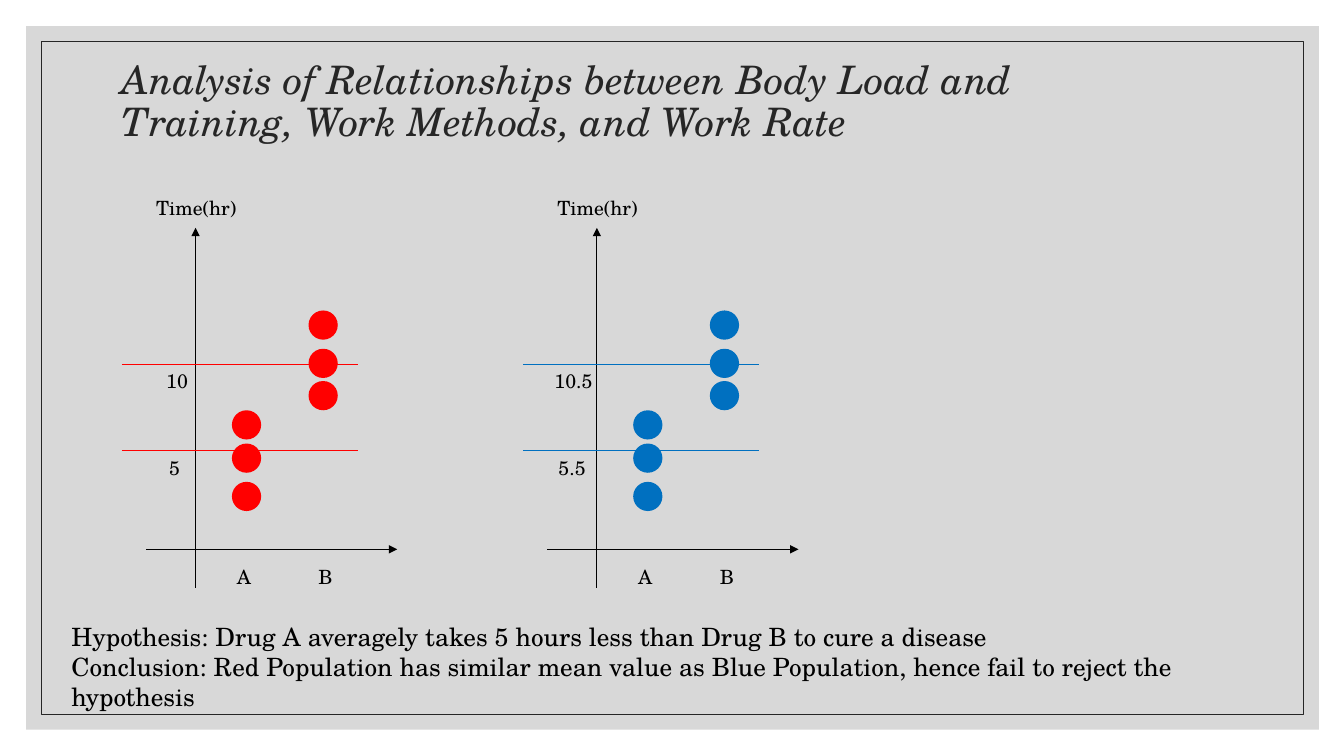
from dataclasses import dataclass

from lxml import etree
from pptx import Presentation
from pptx.dml.color import RGBColor
from pptx.enum.shapes import MSO_CONNECTOR, MSO_SHAPE
from pptx.enum.text import MSO_ANCHOR, MSO_AUTO_SIZE
from pptx.oxml.ns import qn
from pptx.util import Inches, Pt

STRAIGHT = MSO_CONNECTOR.STRAIGHT
RECT, OVAL = MSO_SHAPE.RECTANGLE, MSO_SHAPE.OVAL
MIDDLE, TOP = MSO_ANCHOR.MIDDLE, MSO_ANCHOR.TOP
GROW, FIXED = MSO_AUTO_SIZE.SHAPE_TO_FIT_TEXT, MSO_AUTO_SIZE.NONE


@dataclass(frozen=True)
class Theme:
    font: str = "TeX Gyre Schola"
    panel: str = "BFBFBF"
    panel_alpha: int = 60
    dark: str = "262626"
    black: str = "000000"
    red: str = "FF0000"
    blue: str = "0070C0"
    title_size: int = 28
    body_size: int = 18
    label_size: int = 14
    line_width: float = 0.5


class SlideBuilder:
    def __init__(self, slide, theme):
        self.slide = slide
        self.theme = theme

    def shape(self, kind, x, y, w, h, fill=None, line=None, alpha=None):
        sp = self.slide.shapes.add_shape(kind, Inches(x), Inches(y), Inches(w), Inches(h))
        sp.shadow.inherit = False
        if fill:
            sp.fill.solid()
            sp.fill.fore_color.rgb = RGBColor.from_string(fill)
        else:
            sp.fill.background()
        if alpha:
            clr = sp.fill._xPr.find(qn("a:solidFill"))[0]
            etree.SubElement(clr, qn("a:alpha")).set("val", str(alpha * 1000))
        if line:
            sp.line.color.rgb = RGBColor.from_string(line)
            sp.line.width = Pt(self.theme.line_width)
        else:
            sp.line.fill.background()

    def line(self, x1, y1, x2, y2, color, arrow=False):
        cx = self.slide.shapes.add_connector(
            STRAIGHT, Inches(x1), Inches(y1), Inches(x2), Inches(y2))
        cx.line.color.rgb = RGBColor.from_string(color)
        cx.line.width = Pt(self.theme.line_width)
        if arrow:
            ln = cx.line._get_or_add_ln()
            etree.SubElement(ln, qn("a:tailEnd")).set("type", "triangle")
        etree.SubElement(cx._element.spPr, qn("a:effectLst"))

    def text(self, x, y, w, h, lines, size, color, wrap=True, italic=False,
             anchor=TOP, spacing=1.0, auto_size=GROW):
        sp = self.slide.shapes.add_textbox(Inches(x), Inches(y), Inches(w), Inches(h))
        tf = sp.text_frame
        tf.word_wrap = wrap
        tf.auto_size = auto_size
        tf.vertical_anchor = anchor
        for i, line in enumerate(lines):
            p = tf.add_paragraph() if i else tf.paragraphs[0]
            p.line_spacing = spacing
            r = p.add_run()
            r.text = line
            r.font.name = self.theme.font
            r.font.size = Pt(size)
            r.font.italic = italic
            r.font.color.rgb = RGBColor.from_string(color)

    def label(self, x, y, w, text):
        self.text(x, y, w, 0.34, [text], self.theme.label_size, self.theme.black, wrap=False)

    def dot_plot(self, x, color, means):
        black = self.theme.black
        self.line(x, 5.83, x, 2.26, black, arrow=True)
        self.line(x - 0.49, 5.45, x + 2, 5.45, black, arrow=True)
        for dx, tops in DOT_COLUMNS:
            for top in tops:
                self.shape(OVAL, x + dx, top, 0.29, 0.29, fill=color)
        self.label(x - 0.49, 1.89, 1.02, "Time(hr)")
        for dx, group in ((0.31, "A"), (1.12, "B")):
            self.label(x + dx, 5.56, 0.38, group)
        for y, (dx, w, mean) in zip(MEAN_LINES, means):
            self.line(x - 0.73, y, x + 1.61, y, color)
            self.label(x + dx, y, w, mean)


DOT_COLUMNS = ((0.36, (4.78, 4.4, 4.07)), (1.12, (3.78, 3.46, 3.08)))
MEAN_LINES = (4.47, 3.61)
TITLE = ("Analysis of Relationships between Body Load and Training, "
         "Work Methods, and Work Rate")
FINDINGS = (
    "Hypothesis: Drug A averagely takes 5 hours less than Drug B to cure a disease",
    "Conclusion: Red Population has similar mean value as Blue Population, "
    "hence fail to reject the hypothesis",
)


def main():
    prs = Presentation()
    prs.slide_width, prs.slide_height = Inches(13.33), Inches(7.5)
    theme = Theme()
    s = SlideBuilder(prs.slides.add_slide(prs.slide_layouts[6]), theme)

    s.shape(RECT, 0.26, 0.26, 12.82, 6.98, fill=theme.panel, alpha=theme.panel_alpha)
    s.shape(RECT, 0.41, 0.41, 12.52, 6.68, line=theme.dark)
    s.text(1.11, 0.49, 9.95, 1.06, [TITLE], theme.title_size, theme.dark,
           italic=True, anchor=MIDDLE, spacing=0.9, auto_size=FIXED)
    s.dot_plot(1.94, theme.red, ((-0.36, 0.38, "5"), (-0.39, 0.45, "10")))
    s.dot_plot(5.92, theme.blue, ((-0.48, 0.51, "5.5"), (-0.52, 0.59, "10.5")))
    s.text(0.61, 6.11, 12.01, 0.71, FINDINGS, theme.body_size, theme.black)

    prs.save("out.pptx")


if __name__ == "__main__":
    main()
